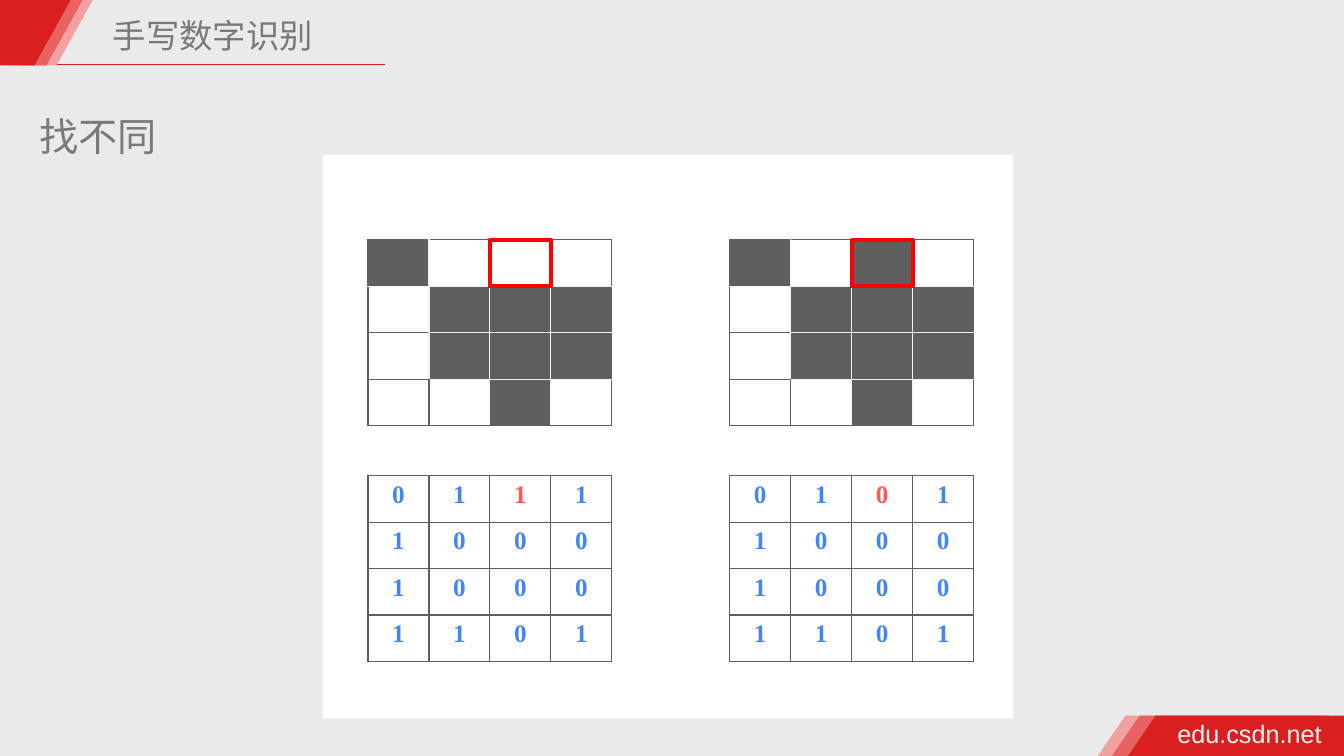
from lxml import etree
from pptx import Presentation
from pptx.dml.color import RGBColor
from pptx.enum.shapes import MSO_CONNECTOR, MSO_SHAPE
from pptx.enum.text import MSO_ANCHOR, MSO_AUTO_SIZE, PP_ALIGN
from pptx.oxml.ns import qn
from pptx.util import Inches, Pt

RECT, TRIANGLE = MSO_SHAPE.RECTANGLE, MSO_SHAPE.ISOSCELES_TRIANGLE
STRAIGHT = MSO_CONNECTOR.STRAIGHT
CENTER, LEFT = PP_ALIGN.CENTER, PP_ALIGN.LEFT
MIDDLE, TOP = MSO_ANCHOR.MIDDLE, MSO_ANCHOR.TOP

COLORS = {
    "backdrop": "EAEAEA", "panel": "FFFFFF", "red": "D82020",
    "coral": "E86262", "pink": "F1A1A1", "heading": "797979",
    "light": "F2F2F2", "dark": "5F5F5F", "highlight": "FF0000",
    "digit": "4285F4", "changed": "FF5751",
}
CJK, SANS, SERIF = "Noto Sans CJK SC", "Arial", "Times New Roman"

# The slide is a grid of 160 columns by 90 rows
WIDTH, HEIGHT = Inches(13.33), Inches(7.5)
COLUMNS, ROWS = 160, 90


def rgb(name):
    return RGBColor.from_string(COLORS[name])


def write(frame, text, *, size, font, color, bold=False, align=LEFT,
          anchor=TOP, inset=None, wrap=True, line_spacing=None):
    """Put one formatted paragraph into a text frame."""
    frame.word_wrap = wrap
    frame.auto_size = MSO_AUTO_SIZE.NONE
    frame.vertical_anchor = anchor
    if inset is not None:
        frame.margin_left = frame.margin_right = Inches(inset)
        frame.margin_top = frame.margin_bottom = Inches(inset)
    paragraph = frame.paragraphs[0]
    paragraph.alignment = align
    paragraph.space_before = Pt(0)
    if line_spacing:
        paragraph.line_spacing = line_spacing
    run = paragraph.add_run()
    run.text = text
    run.font.size, run.font.bold, run.font.name = Pt(size), bold, font
    run.font.color.rgb = rgb(color)
    east_asian = etree.SubElement(run.font._element, qn("a:ea"))
    east_asian.set("typeface", font)


class SlideBuilder:
    """Holds the slide and its grid, and draws each kind of element."""

    def __init__(self, slide):
        self.slide = slide
        self.shapes = slide.shapes
        slide.background.fill.solid()
        slide.background.fill.fore_color.rgb = rgb("backdrop")

    def x(self, columns):
        return round(WIDTH * columns / COLUMNS)

    def y(self, rows):
        return round(HEIGHT * rows / ROWS)

    def box(self, left, top, width, height):
        return self.x(left), self.y(top), self.x(width), self.y(height)

    def title(self, text, area, **style):
        holder = self.shapes.title
        holder.left, holder.top, holder.width, holder.height = self.box(*area)
        write(holder.text_frame, text, **style)

    def label(self, text, area, **style):
        write(self.shapes.add_textbox(*self.box(*area)).text_frame, text, **style)

    def shape(self, kind, area, fill=None, line=None, weight=1, rotation=0):
        shape = self.shapes.add_shape(kind, *self.box(*area))
        shape.shadow.inherit = False
        shape.rotation = rotation
        if fill:
            shape.fill.solid()
            shape.fill.fore_color.rgb = rgb(fill)
        else:
            shape.fill.background()
        if line:
            shape.line.color.rgb = rgb(line)
            shape.line.width = Pt(weight)
        else:
            shape.line.fill.background()

    def rule(self, start, end, row, color):
        line = self.shapes.add_connector(
            STRAIGHT, self.x(start), self.y(row), self.x(end), self.y(row))
        line.line.color.rgb = rgb(color)
        line.line.width = Pt(1)
        etree.SubElement(line._element.spPr, qn("a:effectLst"))

    def grid(self, size, area):
        """Add an unstyled square table and return it."""
        table = self.shapes.add_table(size, size, *self.box(*area)).table
        table.first_row = table.horz_banding = False
        return table

    def borders(self, cell, edges):
        properties = cell._tc.get_or_add_tcPr()
        for side, color in edges.items():
            line = etree.SubElement(properties, qn(f"a:ln{side}"), w=str(Pt(1)))
            fill = etree.SubElement(line, qn("a:solidFill"))
            etree.SubElement(fill, qn("a:srgbClr"), val=COLORS[color])

    def pixel_table(self, rows, area):
        """Shade the zeros; edges that touch a shaded cell inside are light."""
        size = len(rows)
        table = self.grid(size, area)
        steps = {"L": (0, -1), "R": (0, 1), "T": (-1, 0), "B": (1, 0)}
        for r, row in enumerate(rows):
            for c, bit in enumerate(row):
                edges = {}
                for side, (down, across) in steps.items():
                    nr, nc = r + down, c + across
                    inside = 0 <= nr < size and 0 <= nc < size
                    touches = inside and "0" in (bit, rows[nr][nc])
                    edges[side] = "light" if touches else "dark"
                cell = table.cell(r, c)
                self.borders(cell, edges)
                if bit == "0":
                    cell.fill.solid()
                    cell.fill.fore_color.rgb = rgb("dark")
                else:
                    cell.fill.background()

    def digit_table(self, rows, area, changed):
        table = self.grid(len(rows), area)
        for r, row in enumerate(rows):
            for c, bit in enumerate(row):
                cell = table.cell(r, c)
                self.borders(cell, dict.fromkeys("LRTB", "dark"))
                cell.fill.background()
                write(cell.text_frame, bit, size=18, font=SERIF, bold=True,
                      color="changed" if (r, c) == changed else "digit",
                      align=CENTER)


def main():
    deck = Presentation()
    deck.slide_width, deck.slide_height = WIDTH, HEIGHT
    page = SlideBuilder(deck.slides.add_slide(deck.slide_layouts[5]))

    # Header and footer bands, each a block with a slanted end
    page.rule(5.88, 45.84, 7.68, "red")
    for color, footer_left, header_left in (
            ("pink", 134.04, 2.4), ("coral", 135.72, 1.2), ("red", 137.64, -0.24)):
        page.shape(RECT, (footer_left, 85.2, 22.5, 4.8), color)
        page.shape(TRIANGLE, (footer_left - 3.36, 85.2, 6.6, 4.8), color)
        page.shape(RECT, (header_left, 0, 4.32, 7.8), color)
        page.shape(TRIANGLE, (header_left, 0, 8.64, 7.8), color, rotation=180)
    page.label("edu.csdn.net", (139.56, 84.96, 18.6, 4.8), size=18, font=SANS,
               color="light", inset=0.05, wrap=False)

    # Headings
    page.title("手写数字识别", (12.84, 0.6, 25.56, 6.72), size=23.8, font=CJK,
               color="heading", anchor=MIDDLE, inset=0.05, line_spacing=1.1)
    page.label("找不同", (3.48, 12.84, 16.56, 6.84), size=28, font=CJK,
               color="heading", wrap=False)

    # Two digit images with their values; one cell differs
    page.shape(RECT, (38.4, 18.48, 82.2, 67.08), "panel")
    cell_width, cell_height = 7.26, 5.53
    table_size = (4 * cell_width, 4 * cell_height)
    pixel_top, digit_top = 28.56, 56.64
    changed = (0, 2)
    changed_row, changed_column = changed
    for left, first_row in ((43.8, "0111"), (86.88, "0101")):
        rows = [first_row, "1000", "1000", "1101"]
        page.pixel_table(rows, (left, pixel_top, *table_size))
        page.digit_table(rows, (left, digit_top, *table_size), changed)
        page.shape(RECT, (left + changed_column * cell_width,
                          pixel_top + changed_row * cell_height,
                          cell_width, cell_height), line="highlight", weight=3)

    deck.save("out.pptx")


if __name__ == "__main__":
    main()
